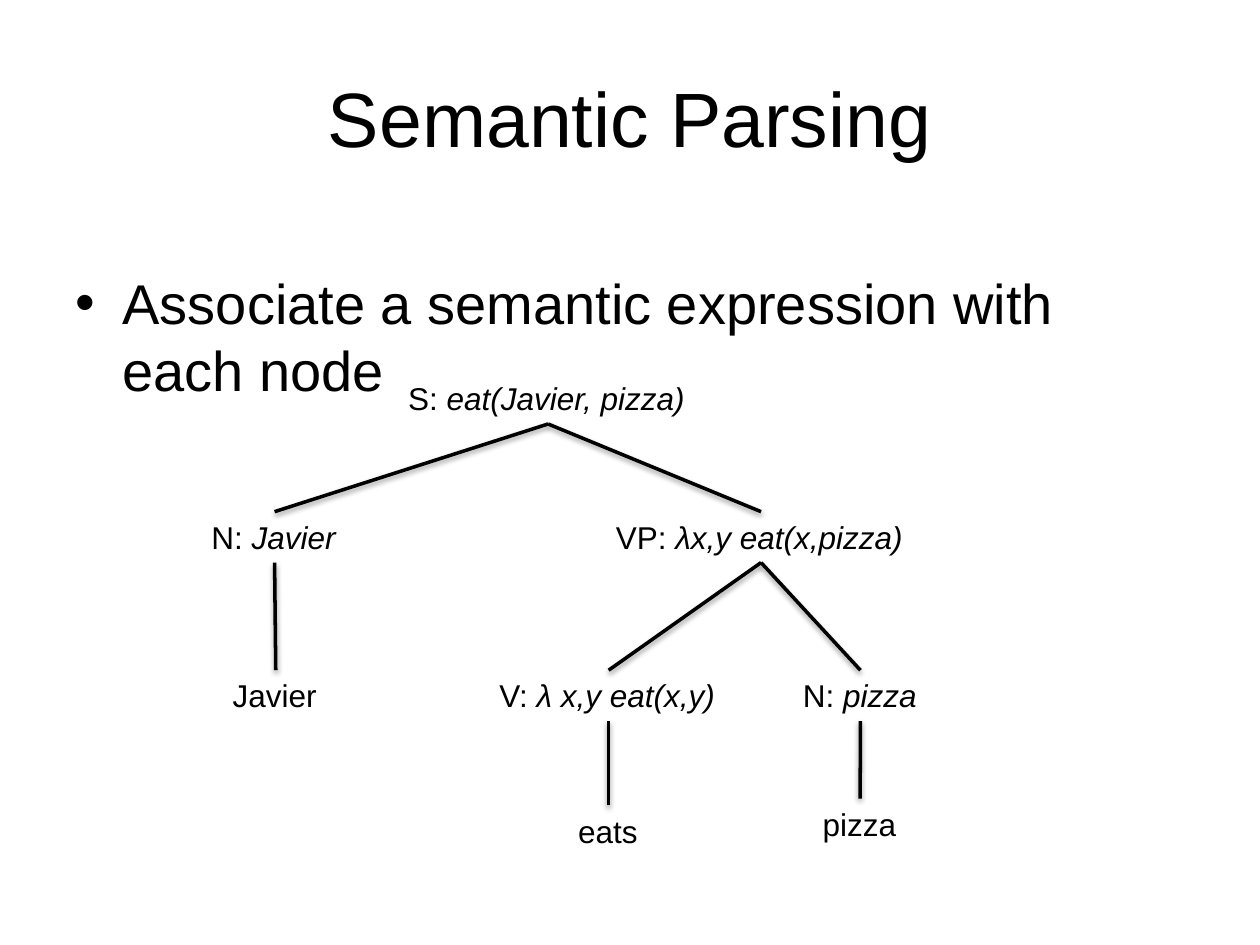
"""Build the semantic parsing slide: a title, one bullet and a parse tree."""
from dataclasses import dataclass

from lxml import etree
from pptx import Presentation, util as u
from pptx.dml.color import RGBColor
from pptx.enum import shapes, text
from pptx.oxml.ns import qn


@dataclass(frozen=True)
class Theme:
    """Typeface, colour, type sizes and line weight in points."""
    face: str = "Arial"
    ink: RGBColor = RGBColor(0, 0, 0)
    title: float = 44
    body: float = 32
    node: float = 18
    branch: float = 2


@dataclass(frozen=True)
class Node:
    """Tree node with its centre, top and width, and its daughters."""
    label: str
    meaning: str
    center: float
    top: float
    width: float
    daughters: tuple["Node", ...] = ()


THEME = Theme()
NODE_HEIGHT = 29.1
PHRASE_TOP, WORD_TOP = 292.4, 383

EATS = Node("eats", "", 347.8, 460.2, 49)
PIZZA = Node("pizza", "", 491.5, 456.4, 57)
JAVIER = Node("Javier", "", 157.6, WORD_TOP, 63.4)
VERB = Node("V: ", "λ x,y eat(x,y)", 347.8, WORD_TOP, 139, (EATS,))
OBJECT = Node("N: ", "pizza", 491.7, WORD_TOP, 80, (PIZZA,))
SUBJECT = Node("N: ", "Javier", 156.9, PHRASE_TOP, 86.4, (JAVIER,))
PREDICATE = Node("VP: ", "λx,y eat(x,pizza)", 434.9, PHRASE_TOP, 180, (VERB, OBJECT))
SENTENCE = Node("S: ", "eat(Javier, pizza)", 313.2, 213.2, 174.2, (SUBJECT, PREDICATE))


def set_font(paragraph, size: float) -> None:
    """Give a paragraph the theme's face and ink at a size."""
    paragraph.font.name = THEME.face
    paragraph.font.size = u.Pt(size)
    paragraph.font.color.rgb = THEME.ink


def add_title(slide, wording: str) -> None:
    """Place and format the title placeholder."""
    title = slide.shapes.title
    title.left, title.top, title.width, title.height = map(u.Pt, (36, 21.6, 648, 90))
    title.text_frame.text = wording
    title.text_frame.vertical_anchor = text.MSO_ANCHOR.MIDDLE
    heading = title.text_frame.paragraphs[0]
    heading.alignment = text.PP_ALIGN.CENTER
    set_font(heading, THEME.title)


def add_statement(slide, wording: str) -> None:
    """Add the bulleted statement with a hanging indent."""
    frame = slide.shapes.add_textbox(*map(u.Pt, (36, 150, 648, 283.5))).text_frame
    frame.word_wrap = True
    statement = frame.paragraphs[0]
    statement.text = wording
    statement.space_before = u.Pt(6.4)
    set_font(statement, THEME.body)
    properties = statement._p.get_or_add_pPr()
    properties.set("marL", str(u.Pt(27)))
    properties.set("indent", str(-u.Pt(27)))
    etree.SubElement(properties, qn("a:buFont")).set("typeface", THEME.face)
    etree.SubElement(properties, qn("a:buChar")).set("char", "•")
    properties.append(properties.find(qn("a:defRPr")))


def add_node(slide, node: Node) -> None:
    """Add a node's label with its meaning in italics."""
    left = node.center - node.width / 2
    box = slide.shapes.add_textbox(*map(u.Pt, (left, node.top, node.width, NODE_HEIGHT)))
    frame = box.text_frame
    frame.word_wrap = False
    frame.auto_size = text.MSO_AUTO_SIZE.SHAPE_TO_FIT_TEXT
    line = frame.paragraphs[0]
    set_font(line, THEME.node)
    line.add_run().text = node.label
    if node.meaning:
        meaning = line.add_run()
        meaning.text = node.meaning
        meaning.font.italic = True


def add_branch(slide, mother: Node, daughter: Node) -> None:
    """Join a daughter's top to its mother's bottom, keeping the theme shadow."""
    ends = (daughter.center, daughter.top, mother.center, mother.top + NODE_HEIGHT)
    branch = slide.shapes.add_connector(shapes.MSO_CONNECTOR.STRAIGHT, *map(u.Pt, ends))
    branch.line.color.rgb = THEME.ink
    branch.line.width = u.Pt(THEME.branch)


def add_tree(slide, node: Node) -> None:
    """Draw a node and everything below it."""
    add_node(slide, node)
    for daughter in node.daughters:
        add_branch(slide, node, daughter)
        add_tree(slide, daughter)


def main() -> None:
    """Build and save the slide."""
    deck = Presentation()
    deck.slide_width, deck.slide_height = u.Pt(720), u.Pt(540)
    slide = deck.slides.add_slide(deck.slide_layouts[5])
    add_title(slide, "Semantic Parsing")
    add_statement(slide, "Associate a semantic expression with each node")
    add_tree(slide, SENTENCE)
    deck.save("out.pptx")


if __name__ == "__main__":
    main()
